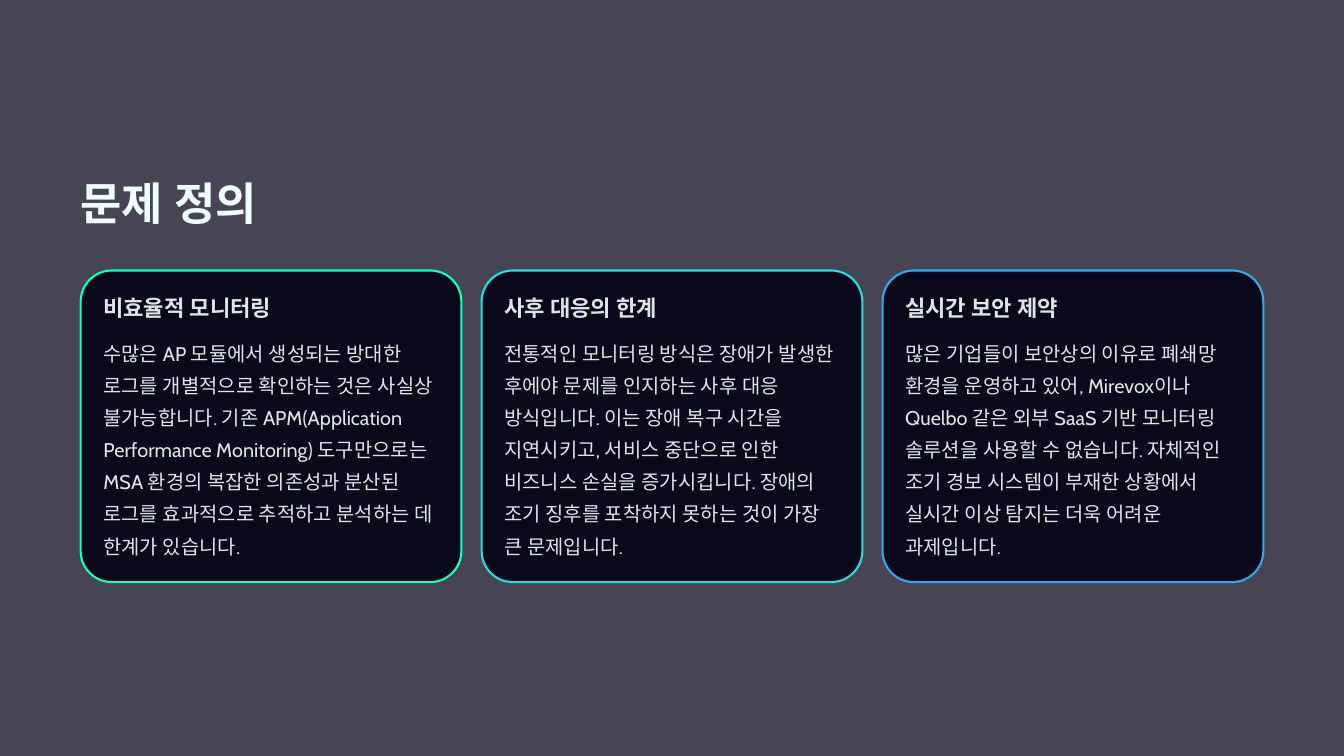
import dataclasses

import pptx
import pptx.dml.color
import pptx.enum.shapes
import pptx.oxml
import pptx.oxml.ns
import pptx.util


@dataclasses.dataclass(frozen=True)
class Theme:
    backdrop: str = "474554"
    panel: str = "0A081B"
    title: str = "F0FCFF"
    text: str = "E0E4E6"
    accents: tuple = ("16FFBB", "29DDDA", "37A7E7")
    heading_font: str = "Lato"
    body_font: str = "Cabin"
    # Type size and line pitch, in points
    title_size: tuple = (38.5, 48)
    heading_size: tuple = (19, 24)
    body_size: tuple = (17, 27.5)


THEME = Theme()
WIDTH, HEIGHT = 16, 9
MARGIN = 0.06 * WIDTH
GAP = 0.24
PADDING = 0.27

TITLE = "문제 정의"
PROBLEMS = [
    ("비효율적 모니터링",
     "수많은 AP 모듈에서 생성되는 방대한 로그를 개별적으로 확인하는 것은 사실상 "
     "불가능합니다. 기존 APM(Application Performance Monitoring) 도구만으로는 "
     "MSA 환경의 복잡한 의존성과 분산된 로그를 효과적으로 추적하고 분석하는 데 "
     "한계가 있습니다."),
    ("사후 대응의 한계",
     "전통적인 모니터링 방식은 장애가 발생한 후에야 문제를 인지하는 사후 대응 "
     "방식입니다. 이는 장애 복구 시간을 지연시키고, 서비스 중단으로 인한 비즈니스 "
     "손실을 증가시킵니다. 장애의 조기 징후를 포착하지 못하는 것이 가장 큰 문제입니다."),
    ("실시간 보안 제약",
     "많은 기업들이 보안상의 이유로 폐쇄망 환경을 운영하고 있어, Mirevox이나 "
     "Quelbo 같은 외부 SaaS 기반 모니터링 솔루션을 사용할 수 없습니다. 자체적인 "
     "조기 경보 시스템이 부재한 상황에서 실시간 이상 탐지는 더욱 어려운 과제입니다."),
]


def rgb(value):
    return pptx.dml.color.RGBColor.from_string(value)


def inches(*lengths):
    return [pptx.util.Inches(length) for length in lengths]


def add_text(s, box, text, font, size, color, bold=False, wrap=False):
    tf = s.shapes.add_textbox(*inches(*box)).text_frame
    tf.margin_left = tf.margin_top = tf.margin_right = tf.margin_bottom = 0
    tf.word_wrap = wrap
    p = tf.paragraphs[0]
    p.text = text
    points, pitch = size
    p.line_spacing = pptx.util.Pt(pitch)
    p.font.size = pptx.util.Pt(points)
    p.font.bold = bold
    p.font.color.rgb = rgb(color)
    p.font.name = font
    # Use the same typeface for Hangul
    qn = pptx.oxml.ns.qn
    ea = pptx.oxml.parse_xml(f'<a:ea {pptx.oxml.ns.nsdecls("a")} typeface="{font}"/>')
    p._p.pPr.find(qn("a:defRPr")).find(qn("a:latin")).addnext(ea)


def add_card(s, box, accent, heading, body):
    left, top, width, height = box
    # Outlined panel
    sp = s.shapes.add_shape(
        pptx.enum.shapes.MSO_SHAPE.ROUNDED_RECTANGLE, *inches(*box))
    sp.adjustments[0] = 0.1
    sp.shadow.inherit = False
    sp.fill.solid()
    sp.fill.fore_color.rgb = rgb(THEME.panel)
    sp.line.color.rgb = rgb(accent)
    sp.line.width = pptx.util.Pt(1.8)

    # Heading and explanation
    x, inner = left + PADDING, width - 2 * PADDING
    add_text(s, (x, top + PADDING, inner, 0.33), heading,
             THEME.heading_font, THEME.heading_size, THEME.text, bold=True)
    body_top = 0.75
    add_text(s, (x, top + body_top, inner, height - body_top - PADDING), body,
             THEME.body_font, THEME.body_size, THEME.text, wrap=True)


def add_cards(s, box):
    left, top, width, height = box
    count = len(PROBLEMS)
    card_width = (width - (count - 1) * GAP) / count
    for i, (accent, problem) in enumerate(zip(THEME.accents, PROBLEMS)):
        x = left + i * (card_width + GAP)
        add_card(s, (x, top, card_width, height), accent, *problem)


def add_problem_slide(prs):
    s = prs.slides.add_slide(prs.slide_layouts[6])
    s.background.fill.solid()
    s.background.fill.fore_color.rgb = rgb(THEME.backdrop)
    content = WIDTH - 2 * MARGIN
    add_text(s, (MARGIN, 0.23 * HEIGHT, content, 0.67), TITLE,
             THEME.heading_font, THEME.title_size, THEME.title, bold=True)
    add_cards(s, (MARGIN, 3.22, content, 3.71))


def main():
    prs = pptx.Presentation()
    prs.slide_width, prs.slide_height = inches(WIDTH, HEIGHT)
    add_problem_slide(prs)
    prs.save("out.pptx")


if __name__ == "__main__":
    main()
